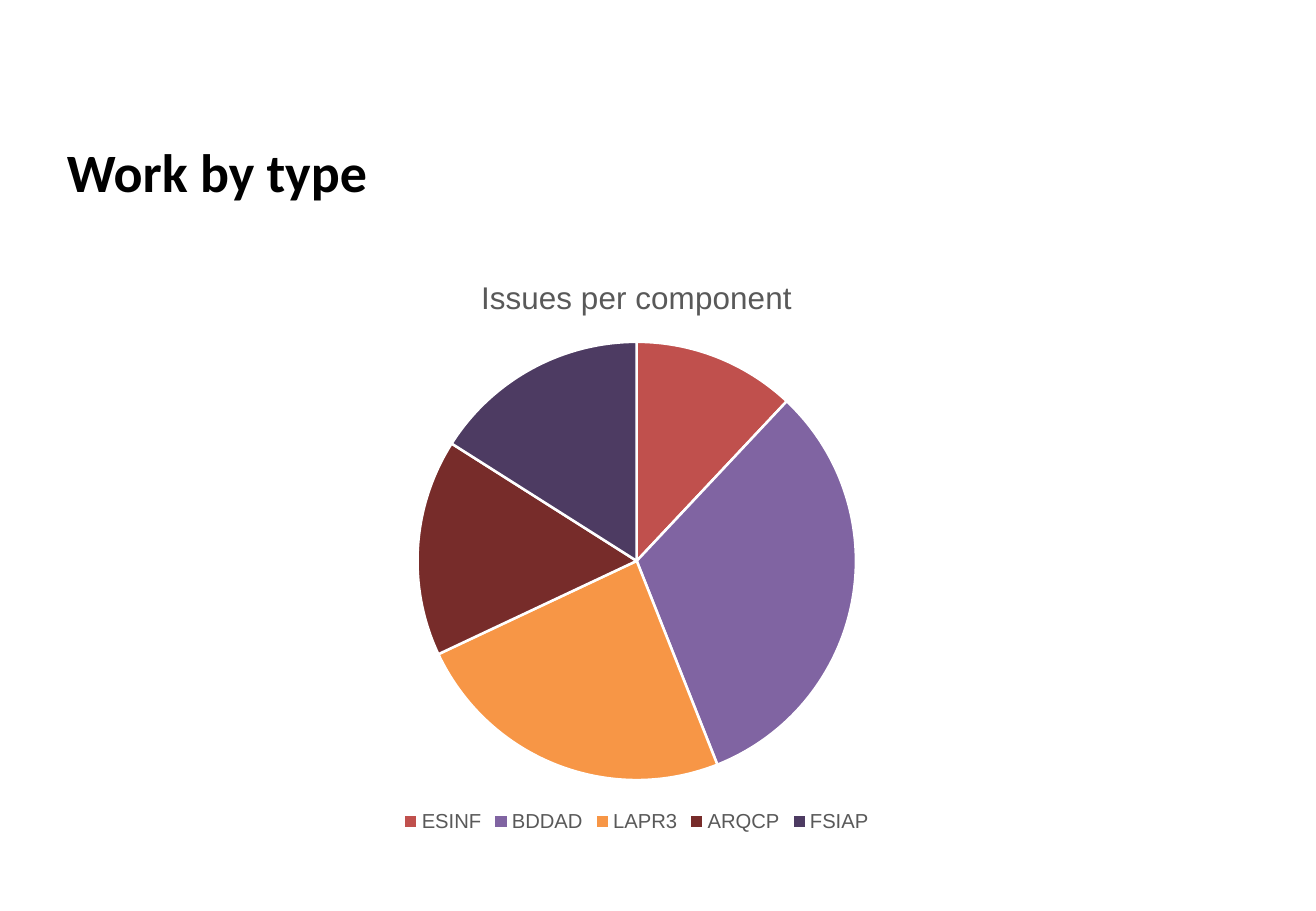
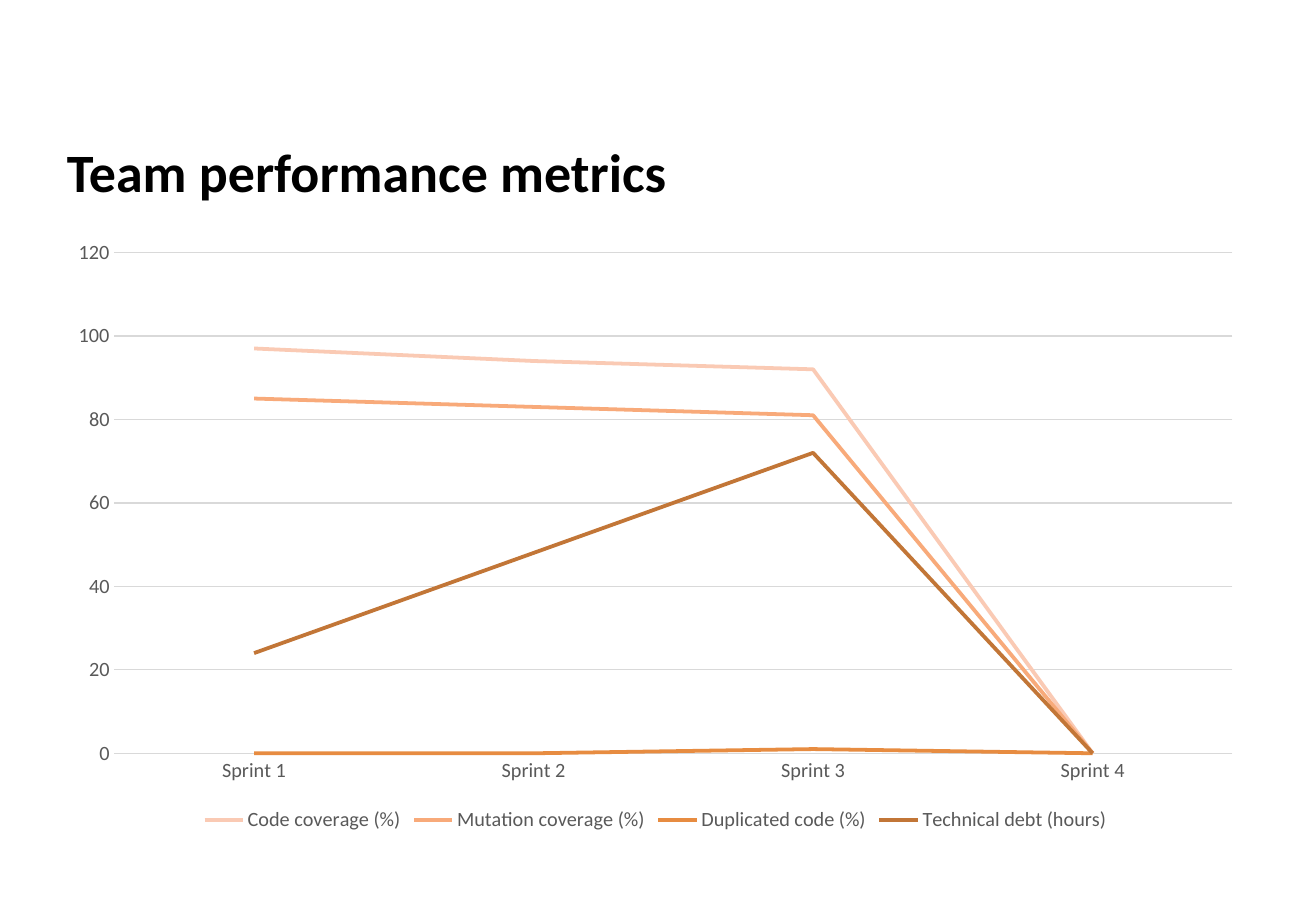
from pptx import Presentation
from pptx.chart.data import CategoryChartData
from pptx.dml.color import RGBColor
from pptx.enum.chart import XL_CHART_TYPE, XL_LEGEND_POSITION, XL_TICK_MARK
from pptx.enum.text import MSO_ANCHOR, PP_ALIGN
from pptx.util import Pt

PIE, LINE = XL_CHART_TYPE.PIE, XL_CHART_TYPE.LINE
BOTTOM = XL_LEGEND_POSITION.BOTTOM
NO_TICK = XL_TICK_MARK.NONE
TOP, LEFT = MSO_ANCHOR.TOP, PP_ALIGN.LEFT

EMU_PER_PX = 9144  # 100 px to the inch
SLIDE_SIZE = (1083, 750)
TITLE_BOX = (45, 109, 989, 62)
BLACK, WHITE, GREY, PALE_GREY = "000000", "FFFFFF", "595959", "D9D9D9"

CHARTS = [
    {
        "title": "Work by type",
        "type": PIE,
        "box": (163, 208, 722, 481),
        "font": "Arial",
        "chart_title": "Issues per component",
        "categories": ["ESINF", "BDDAD", "LAPR3", "ARQCP", "FSIAP"],
        "series": {"Series 1": (12, 32, 24, 16, 16)},
        "colours": ["C0504D", "8064A2", "F79646", "772C2A", "4D3B62"],
    },
    {
        "title": "Team performance metrics",
        "type": LINE,
        "box": (45, 188, 989, 501),
        "font": "Calibri",
        "chart_title": None,
        "categories": ["Sprint 1", "Sprint 2", "Sprint 3", "Sprint 4"],
        "series": {
            "Code coverage (%)": (97, 94, 92, 0),
            "Mutation coverage (%)": (85, 83, 81, 0),
            "Duplicated code (%)": (0, 0, 1, 0),
            "Technical debt (hours)": (24, 48, 72, 0),
        },
        "colours": ["FACAB4", "F8AA7A", "E78C41", "C27637"],
    },
]


def set_font(font, colour, **values):
    font.color.rgb = RGBColor.from_string(colour)
    for name, value in values.items():
        setattr(font, name, value)


def set_line(line, colour, points):
    line.color.rgb = RGBColor.from_string(colour)
    line.width = Pt(points)


presentation = Presentation()
presentation.slide_width, presentation.slide_height = [px * EMU_PER_PX for px in SLIDE_SIZE]
title_only = presentation.slide_layouts[5]

for content in CHARTS:
    slide = presentation.slides.add_slide(title_only)

    title = slide.shapes.title
    title.left, title.top, title.width, title.height = [px * EMU_PER_PX for px in TITLE_BOX]
    title.text_frame.text = content["title"]
    title.text_frame.vertical_anchor = TOP
    paragraph = title.text_frame.paragraphs[0]
    paragraph.alignment = LEFT
    set_font(paragraph.runs[0].font, BLACK, name="Calibri", size=Pt(32), bold=True)

    data = CategoryChartData()
    data.categories = content["categories"]
    for name, values in content["series"].items():
        data.add_series(name, values)
    box = [px * EMU_PER_PX for px in content["box"]]
    chart = slide.shapes.add_chart(content["type"], *box, data).chart
    set_font(chart.font, GREY, name=content["font"], size=Pt(12))
    chart.has_legend = True
    chart.legend.position = BOTTOM
    chart.legend.include_in_layout = False
    set_font(chart.legend.font, GREY, name=content["font"], size=Pt(12))

    chart.has_title = content["chart_title"] is not None
    if chart.has_title:
        frame = chart.chart_title.text_frame
        frame.text = content["chart_title"]
        set_font(frame.paragraphs[0].runs[0].font, GREY,
                 name=content["font"], size=Pt(18.6), bold=False)

    plot = chart.plots[0]
    if content["type"] == PIE:
        plot.vary_by_categories = True
        for index, colour in enumerate(content["colours"]):
            slice_format = plot.series[0].points[index].format
            slice_format.fill.solid()
            slice_format.fill.fore_color.rgb = RGBColor.from_string(colour)
            set_line(slice_format.line, WHITE, 1.5)
    else:
        plot.vary_by_categories = False
        for series, colour in zip(plot.series, content["colours"]):
            series.smooth = False
            set_line(series.format.line, colour, 2.25)
        for axis in (chart.category_axis, chart.value_axis):
            axis.major_tick_mark = axis.minor_tick_mark = NO_TICK
            set_font(axis.tick_labels.font, GREY, name=content["font"], size=Pt(12))
        set_line(chart.category_axis.format.line, PALE_GREY, 0.75)
        chart.value_axis.format.line.fill.background()
        set_line(chart.value_axis.major_gridlines.format.line, PALE_GREY, 0.75)

presentation.save("out.pptx")
